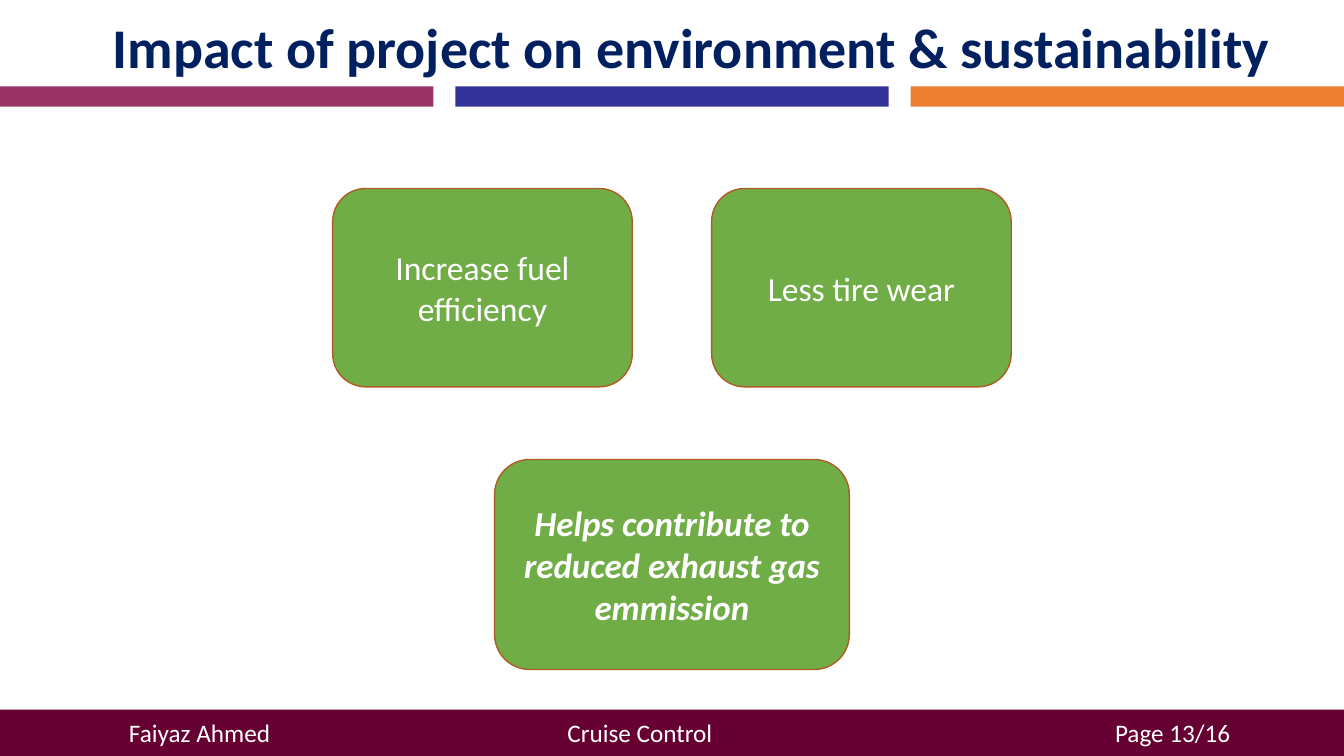
from lxml import etree
from pptx import Presentation
from pptx.dml.color import RGBColor
from pptx.enum.shapes import MSO_SHAPE
from pptx.enum.text import MSO_ANCHOR, PP_ALIGN
from pptx.oxml.ns import qn
from pptx.util import Cm, Pt

RECTANGLE = MSO_SHAPE.RECTANGLE
ROUNDED = MSO_SHAPE.ROUNDED_RECTANGLE
MIDDLE = MSO_ANCHOR.MIDDLE
LEFT, CENTER = PP_ALIGN.LEFT, PP_ALIGN.CENTER

PLUM = RGBColor(0x99, 0x33, 0x66)
INDIGO = RGBColor(0x33, 0x33, 0x99)
ORANGE = RGBColor(0xED, 0x7D, 0x31)
NAVY = RGBColor(0x00, 0x20, 0x60)
GREEN = RGBColor(0x70, 0xAD, 0x47)
RUST = RGBColor(0xAF, 0x5C, 0x24)
MAROON = RGBColor(0x66, 0x00, 0x33)
WHITE = RGBColor(0xFF, 0xFF, 0xFF)

PAGE_WIDTH, PAGE_HEIGHT = Cm(33.87), Cm(19.05)


def add_block(page, kind, box, fill, line=None):
    """Add a flat filled shape in the box, outlined only if a line colour is given."""
    block = page.shapes.add_shape(kind, *box)
    block.shadow.inherit = False
    block.fill.solid()
    block.fill.fore_color.rgb = fill
    if line is None:
        block.line.fill.background()
    else:
        block.line.color.rgb = line
        block.line.width = Pt(1)
    return block


def write(shape, text, size, color, align=CENTER, bold=False, italic=False):
    """Write one wrapped paragraph into the shape and return it."""
    frame = shape.text_frame
    frame.word_wrap = True
    para = frame.paragraphs[0]
    para.text = text
    para.alignment = align
    font = para.font
    font.name, font.size, font.color.rgb = "Calibri", Pt(size), color
    font.bold, font.italic = bold, italic
    return para


def add_title(page, box, text):
    """Place the slide title in the box."""
    title = page.shapes.add_textbox(*box)
    write(title, text, 40, NAVY, align=LEFT, bold=True)


def add_stripes(page, box, colors):
    """Spread equal coloured stripes over the box, with even gaps."""
    left, top, width, height = box
    gap = Cm(0.55)
    stripe_width = (width - gap * (len(colors) - 1)) // len(colors)
    for index, color in enumerate(colors):
        stripe_left = left + index * (stripe_width + gap)
        add_block(page, RECTANGLE, (stripe_left, top, stripe_width, height), color)


def add_card(page, box, text, size, emphasis=False):
    """Place a rounded card with centred text in the box."""
    card = add_block(page, ROUNDED, box, GREEN, RUST)
    card.text_frame.vertical_anchor = MIDDLE
    write(card, text, size, WHITE, bold=emphasis, italic=emphasis)


def add_impacts(page, box):
    """Place two cards at the top corners of the box and one centred at its bottom."""
    left, top, width, height = box
    card_width, card_height = Cm(7.55), Cm(5)
    result_width, result_height = Cm(8.94), Cm(5.29)
    add_card(page, (left, top, card_width, card_height), "Increase fuel efficiency", 24)
    add_card(page, (left + width - card_width, top, card_width, card_height),
             "Less tire wear", 24)
    result_box = (left + (width - result_width) // 2, top + height - result_height,
                  result_width, result_height)
    add_card(page, result_box, "Helps contribute to reduced exhaust gas emmission", 25, True)


def add_footer(page, box, labels, stops):
    """Place the footer bar in the box, its labels set apart by tab stops."""
    bar = add_block(page, RECTANGLE, box, MAROON)
    frame = bar.text_frame
    frame.vertical_anchor = MIDDLE
    frame.margin_left = stops[0]
    frame.margin_top = frame.margin_bottom = 0
    para = write(bar, "\t".join(labels), 18, WHITE, align=LEFT)
    properties = para._p.get_or_add_pPr()
    tabs = etree.Element(qn("a:tabLst"))
    for stop in stops[1:]:
        etree.SubElement(tabs, qn("a:tab"), pos=str(stop - stops[0]), algn="l")
    properties.insert(0, tabs)


def main():
    """Build the slide and save the deck."""
    deck = Presentation()
    deck.slide_width, deck.slide_height = PAGE_WIDTH, PAGE_HEIGHT
    page = deck.slides.add_slide(deck.slide_layouts[6])
    add_stripes(page, (0, Cm(2.18), PAGE_WIDTH, Cm(0.51)), [PLUM, INDIGO, ORANGE])
    add_title(page, (Cm(2.59), Cm(0.18), Cm(30.66), Cm(1.96)),
              "Impact of project on environment & sustainability")
    impacts_width = Cm(17.1)
    add_impacts(page, ((PAGE_WIDTH - impacts_width) // 2, Cm(4.75), impacts_width, Cm(12.12)))
    footer_height = Cm(1.17)
    add_footer(page, (0, PAGE_HEIGHT - footer_height, PAGE_WIDTH, footer_height),
               ["Faiyaz Ahmed", "Cruise Control", "Page 13/16"],
               [Cm(3.25), Cm(14.3), Cm(28.1)])
    deck.save("out.pptx")


if __name__ == "__main__":
    main()
